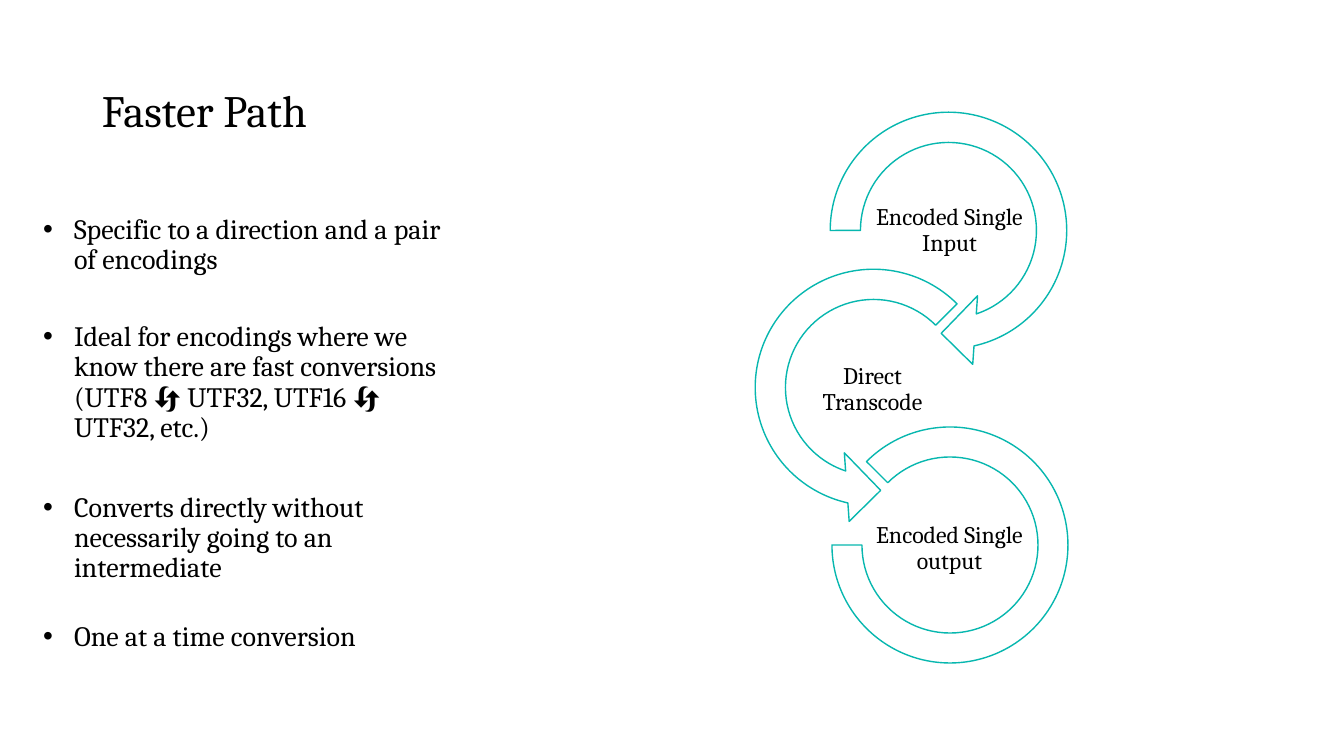
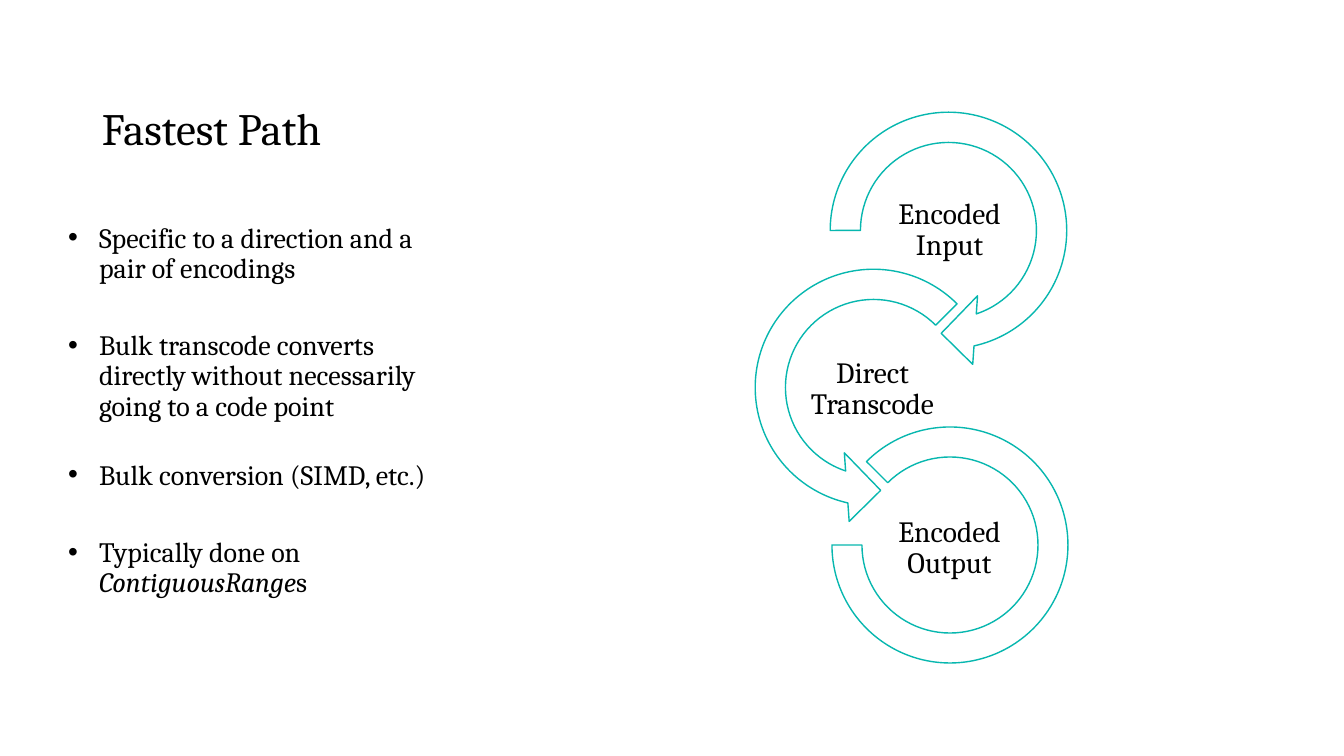
import pptx
import pptx.dml.color
import pptx.enum.shapes
import pptx.enum.text
import pptx.oxml
import pptx.util

MSO_SHAPE = pptx.enum.shapes.MSO_SHAPE
ANCHOR = pptx.enum.text.MSO_ANCHOR
ALIGN = pptx.enum.text.PP_ALIGN

BLACK = pptx.dml.color.RGBColor(0x00, 0x00, 0x00)
WHITE = pptx.dml.color.RGBColor(0xFF, 0xFF, 0xFF)
TEAL = pptx.dml.color.RGBColor(0x07, 0xB7, 0xAF)
FONT = "Cambria"

SLIDE_WIDTH, SLIDE_HEIGHT = 1344, 756
EMU_PER_PX = 12192000 / SLIDE_WIDTH
BULLET_INDENT = 31

SLIDES = [
    {
        "title": "Faster Path",
        "title_box": (92, 84, 361, 58),
        "body_box": (33, 210, 420, 512),
        "bullets": [
            (0, ["Specific to a direction and a pair of encodings"]),
            (33.6, ["Ideal for encodings where we know there are fast conversions "
                    "(UTF8 🔄 UTF32, UTF16 🔄 UTF32, etc.)"]),
            (35.6, ["Converts directly without necessarily going to an intermediate"]),
            (27.6, ["One at a time conversion"]),
        ],
        "steps": ["Encoded Single Input", "Direct Transcode", "Encoded Single output"],
        "step_size": 17,
    },
    {
        "title": "Fastest Path",
        "title_box": (92, 84, 361, 76),
        "body_box": (58, 219, 395, 504),
        "bullets": [
            (0, ["Specific to a direction and a pair of encodings"]),
            (33.6, ["Bulk transcode converts directly without necessarily going to a code point"]),
            (27.6, ["Bulk conversion (SIMD, etc.)"]),
            (33.6, ["Typically done on ", ("ContiguousRange", True), "s"]),
        ],
        "steps": ["Encoded Input", "Direct Transcode", "Encoded Output"],
        "step_size": 21,
    },
]

RINGS = [
    (MSO_SHAPE.CIRCULAR_ARROW, (811, 93, 275, 275), (0.11, 11.42, 45, 108, 0.125)),
    (MSO_SHAPE.LEFT_CIRCULAR_ARROW, (736, 250, 275, 275), (0.11, 11.42, 63, 189, 0.125)),
    (MSO_SHAPE.BLOCK_ARC, (832, 427, 236, 236), (135, 108, 0.127)),
]
LABEL_LEFTS = (873, 796, 873)
LABEL_TOP, LABEL_STEP = 192, 159
LABEL_WIDTH, LABEL_HEIGHT = 153, 77


def px(length):
    return pptx.util.Emu(round(length * EMU_PER_PX))


def add_bullet(paragraph):
    properties = paragraph._p.get_or_add_pPr()
    properties.set("marL", str(px(BULLET_INDENT)))
    properties.set("indent", str(px(-BULLET_INDENT)))
    namespace = pptx.oxml.ns.nsdecls("a")
    for element in ('<a:buFont %s typeface="Arial"/>', '<a:buChar %s char="•"/>'):
        properties.append(pptx.oxml.parse_xml(element % namespace))


def add_text(slide, box, paragraphs, size, anchor=ANCHOR.TOP, align=ALIGN.LEFT,
             bullet=False, inset=(10, 5)):
    frame = slide.shapes.add_textbox(*map(px, box)).text_frame
    frame.word_wrap = True
    frame.vertical_anchor = anchor
    frame.margin_left = frame.margin_right = px(inset[0])
    frame.margin_top = frame.margin_bottom = px(inset[1])
    for index, (space_before, runs) in enumerate(paragraphs):
        paragraph = frame.add_paragraph() if index else frame.paragraphs[0]
        if bullet:
            add_bullet(paragraph)
        paragraph.alignment = align
        paragraph.line_spacing = 0.9
        if index:
            paragraph.space_before = pptx.util.Pt(space_before)
        for item in runs:
            text, italic = (item, False) if isinstance(item, str) else item
            run = paragraph.add_run()
            run.text = text
            run.font.name = FONT
            run.font.size = pptx.util.Pt(size)
            run.font.color.rgb = BLACK
            run.font.italic = italic


def add_ring(slide, preset, box, adjustments):
    ring = slide.shapes.add_shape(preset, *map(px, box))
    for index, value in enumerate(adjustments):
        ring.adjustments[index] = value
    ring.shadow.inherit = False
    ring.fill.solid()
    ring.fill.fore_color.rgb = WHITE
    ring.line.color.rgb = TEAL
    ring.line.width = pptx.util.Pt(1)


def add_process(slide, steps, size):
    for index, (step, ring, left) in enumerate(zip(steps, RINGS, LABEL_LEFTS)):
        add_ring(slide, *ring)
        box = (left, LABEL_TOP + index * LABEL_STEP, LABEL_WIDTH, LABEL_HEIGHT)
        add_text(slide, box, [(0, [step])], size, anchor=ANCHOR.MIDDLE,
                 align=ALIGN.CENTER, inset=(1, 1))


def main():
    presentation = pptx.Presentation()
    presentation.slide_width = px(SLIDE_WIDTH)
    presentation.slide_height = px(SLIDE_HEIGHT)
    for content in SLIDES:
        slide = presentation.slides.add_slide(presentation.slide_layouts[6])
        add_text(slide, content["title_box"], [(0, [content["title"]])], 32,
                 anchor=ANCHOR.BOTTOM)
        add_text(slide, content["body_box"], content["bullets"], 20, bullet=True)
        add_process(slide, content["steps"], content["step_size"])
    presentation.save("out.pptx")


if __name__ == "__main__":
    main()
